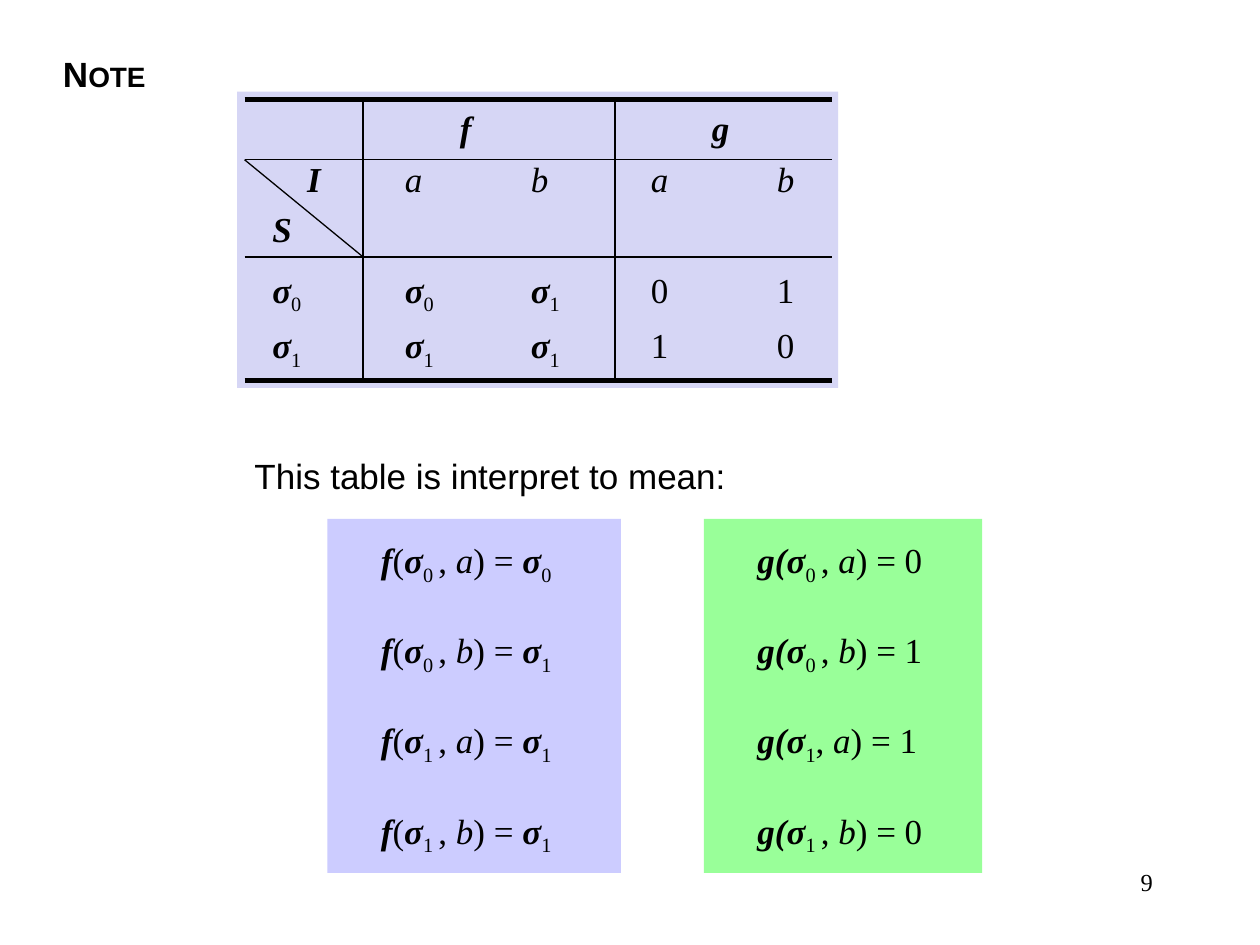
from pptx import Presentation
from pptx.dml.color import RGBColor
from pptx.enum.shapes import MSO_CONNECTOR as Conn, MSO_SHAPE as Shape
from pptx.enum.text import MSO_ANCHOR as Anchor, PP_ALIGN as Align
from pptx.oxml import parse_xml
from pptx.oxml.ns import nsdecls, qn
from pptx.util import Cm, Pt

SERIF, SANS = "Times New Roman", "Arial"
PLAIN = "{2D5ABB26-0587-4C30-8999-92F81FD0307C}"
STYLES = {
    "*": {"bold": True, "italic": True},
    "/": {"italic": True},
    "_": {},
}


def paint(form, color):
    """Give a fill or line format a solid hex colour."""
    form.solid()
    form.fore_color.rgb = RGBColor.from_string(color)


def write(par, marks, face=SERIF, size=20, **extra):
    """Add runs split by |, led by * bold italic, / italic or _ subscript."""
    for mark in marks.split("|"):
        lead = mark[:1] if mark[:1] in STYLES else ""
        run = par.add_run()
        run.text = mark[len(lead):]
        look = {"name": face, "size": Pt(size), **STYLES.get(lead, {}), **extra}
        for key, value in look.items():
            setattr(run.font, key, value)
        paint(run.font.fill, "000000")
        if lead == "_":
            run.font._element.set("baseline", "-25000")


def label(slide, box, wrap=False):
    """Add an empty text box and return its first paragraph."""
    frame = slide.shapes.add_textbox(*map(Cm, box)).text_frame
    frame.word_wrap = wrap
    return frame.paragraphs[0]


def block(slide, box, color):
    """Add a plain filled rectangle."""
    shape = slide.shapes.add_shape(Shape.RECTANGLE, *map(Cm, box))
    shape.shadow.inherit = False
    paint(shape.fill, color)
    shape.line.fill.background()
    return shape


def rule(slide, start, end, width):
    """Draw a straight black line."""
    line = slide.shapes.add_connector(Conn.STRAIGHT, *map(Cm, start + end))
    paint(line.line.fill, "000000")
    line.line.width = Pt(width)
    line._element.spPr.append(parse_xml(f"<a:effectLst {nsdecls('a')}/>"))


def state_table(slide, box):
    """Place the state table and its rules on a tinted box."""
    left, top, wide, high = box
    block(slide, box, "D6D6F5")
    edge = 0.15
    cols, insets = [2.39, 2.54, 2.54, 2.54, 1.84], [0.56, 0.84, 0.84, 0.72, 0.72]
    rows, tops = [1.22, 1.96, 1.25, 1.24], [0.23, 0.03, 0.3, 0.16]
    data = [
        ["", "*f", "", "*g", ""],
        ["*I", "/a", "/b", "/a", "/b"],
        ["*σ|_0", "*σ|_0", "*σ|_1", "0", "1"],
        ["*σ|_1", "*σ|_1", "*σ|_1", "1", "0"],
    ]
    x, y = left + edge, top + edge
    grid = slide.shapes.add_table(4, 5, Cm(x), Cm(y), Cm(sum(cols)), Cm(sum(rows))).table
    grid.first_row = grid.horz_banding = False
    grid._tbl.tblPr.find(qn("a:tableStyleId")).text = PLAIN
    for col, width in zip(grid.columns, cols):
        col.width = Cm(width)
    for r, line in enumerate(data):
        grid.rows[r].height = Cm(rows[r])
        for c, marks in enumerate(line):
            cell = grid.cell(r, c)
            look = {"margin_left": Cm(insets[c] if r else 1.95), "margin_right": 0,
                    "margin_top": Cm(tops[r]), "margin_bottom": 0,
                    "vertical_anchor": Anchor.TOP}
            for key, value in look.items():
                setattr(cell, key, value)
            cell.fill.background()
            if marks:
                write(cell.text_frame.paragraphs[0], marks)
    for c in (1, 3):
        grid.cell(0, c).merge(grid.cell(0, c + 1))

    corner = grid.cell(1, 0).text_frame
    corner.paragraphs[0]._p.get_or_add_pPr().set("marL", str(Cm(0.7)))
    state = corner.add_paragraph()
    state.space_before = Pt(6.5)
    write(state, "*S")

    end, base = x + sum(cols), y + sum(rows)
    head, body = y + rows[0], y + sum(rows[:2])
    for level, width in ((y, 3), (head, 0.75), (body, 0.75), (base, 3)):
        rule(slide, (x, level), (end, level), width)
    for count in (1, 3):
        place = x + sum(cols[:count])
        rule(slide, (place, y), (place, base), 1.5)
    rule(slide, (x, head), (x + cols[0], body), 0.75)


def panel(slide, box, color, lines):
    """Place a coloured panel with one formula a line."""
    frame = block(slide, box, color).text_frame
    look = {"margin_left": Cm(1.08), "margin_top": Cm(0.4), "margin_right": 0,
            "margin_bottom": 0, "vertical_anchor": Anchor.TOP, "word_wrap": False}
    for key, value in look.items():
        setattr(frame, key, value)
    for i, marks in enumerate(lines):
        par = frame.add_paragraph() if i else frame.paragraphs[0]
        par.alignment = Align.LEFT
        par.space_before = Pt(24.2 if i else 0)
        write(par, marks)


def note_slide(deck):
    """Build the note slide."""
    slide = deck.slides.add_slide(deck.slide_layouts[6])
    title = label(slide, (1.02, 0.94, 2.29, 1.09))
    write(title, "N", SANS, bold=True)
    write(title, "OTE", SANS, 16, bold=True)
    state_table(slide, (4.78, 1.85, 12.12, 5.97))
    pairs = [("0 ", "a"), ("0 ", "b"), ("1 ", "a"), ("1 ", "b")]
    panel(slide, (6.6, 10.46, 5.92, 7.14), "CCCCFF",
          [f"*f|(|*σ|_{s}|, |/{i}|) = |*σ|_{n}" for (s, i), n in zip(pairs, "0111")])
    pairs[2] = ("1", "a")
    panel(slide, (14.19, 10.46, 5.61, 7.14), "99FF99",
          [f"*g(σ|_{s}|, |/{i}|) = {n}" for (s, i), n in zip(pairs, "0110")])
    caption = label(slide, (4.88, 9.04, 14.22, 1.02), True)
    write(caption, "This table is interpret to mean:", SANS)
    page = label(slide, (18.21, 17.35, 5.28, 1.27), True)
    page.alignment = Align.RIGHT
    write(page, "9", size=14)


deck = Presentation()
deck.slide_width, deck.slide_height = Cm(25.4), Cm(19.05)
note_slide(deck)
deck.save("out.pptx")
